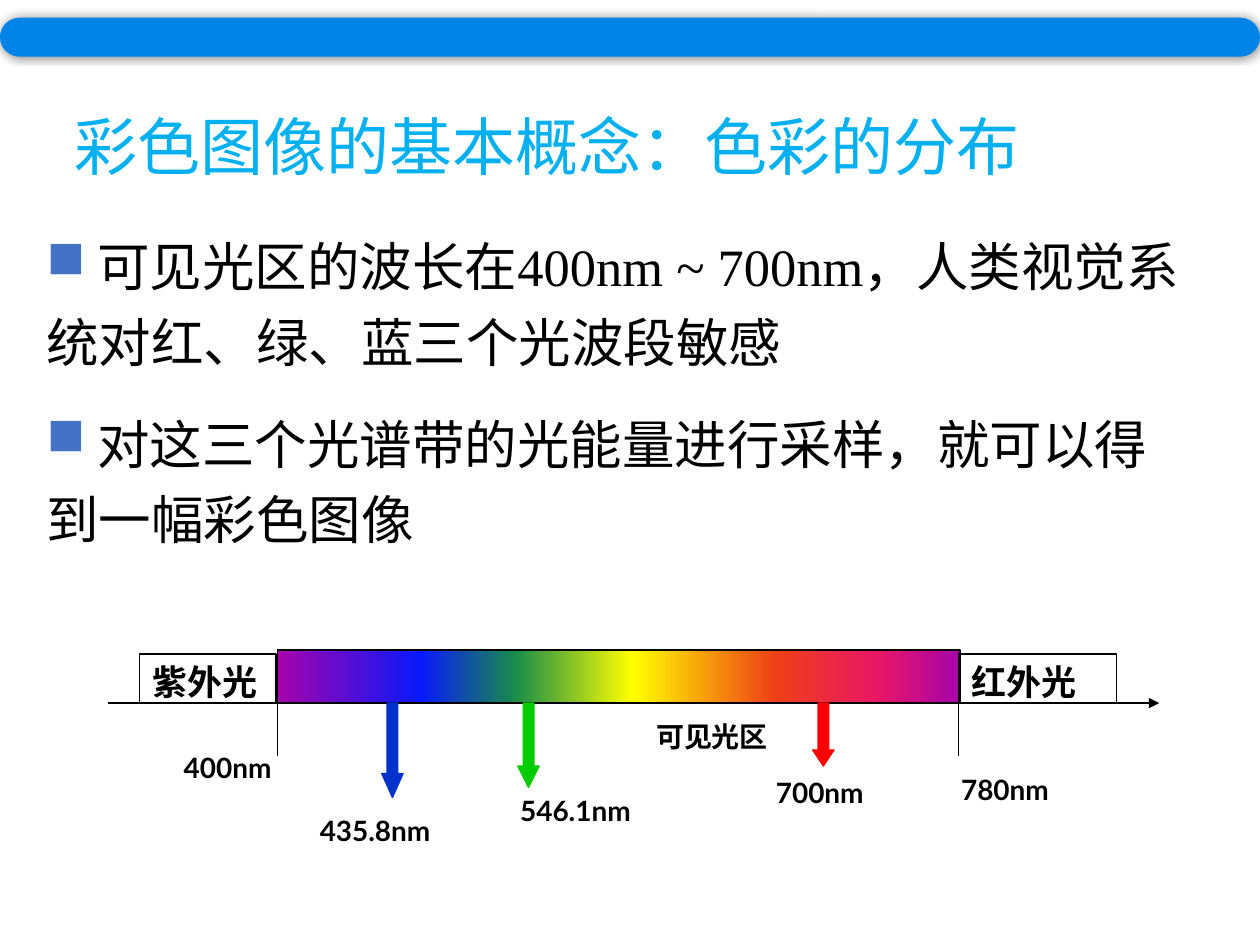
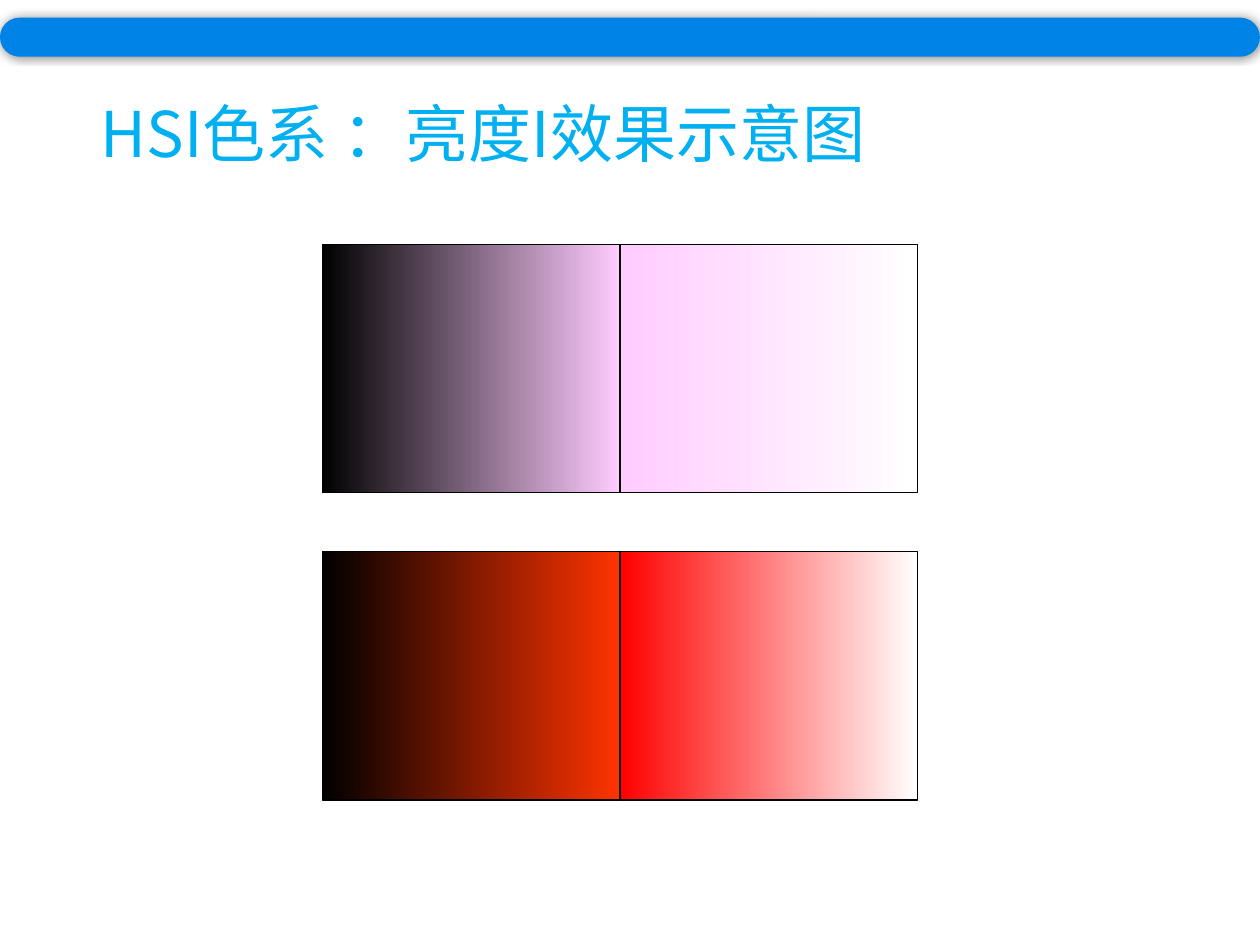
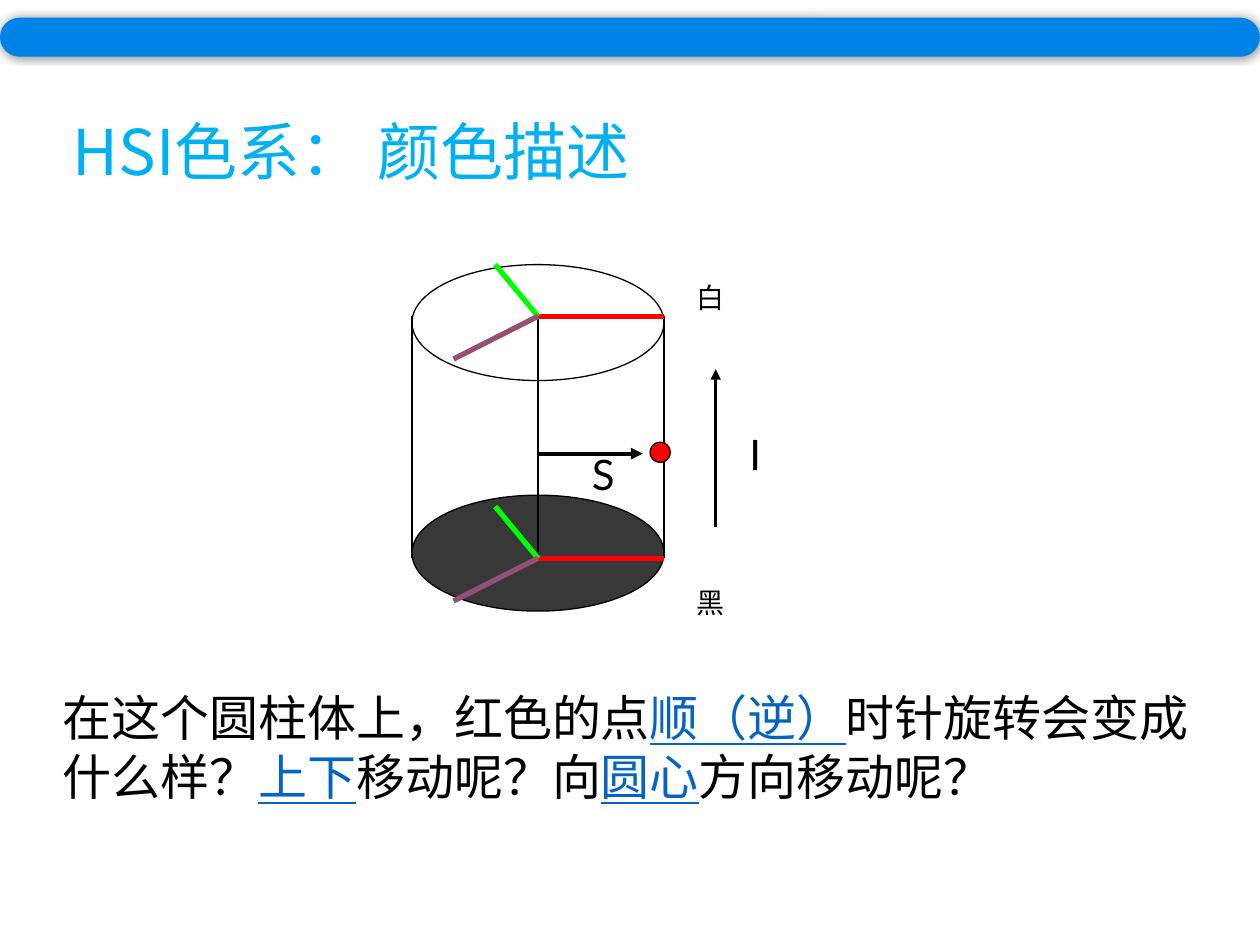
from typing import NamedTuple, Optional

from lxml.etree import SubElement
from pptx import Presentation
from pptx.dml.color import RGBColor
from pptx.enum.shapes import MSO_CONNECTOR, MSO_SHAPE
from pptx.enum.text import MSO_ANCHOR, MSO_AUTO_SIZE
from pptx.oxml.ns import qn
from pptx.util import Inches, Pt

HEX = {
    "ink": "000000", "white": "FFFFFF", "title": "00B0F0", "band": "0083E6",
    "bullet": "4472C4", "link": "0563C1", "red": "FF0000", "lime": "00FF00",
    "plum": "954F72", "green": "00CC00", "blue": "0033CC", "base": "383838",
    "pink": "FFCCFF", "flame": "FF3300", "violet": "A603AB", "indigo": "0819FB",
    "leaf": "1A8D48", "yellow": "FFFF00", "orange": "EE3F17", "rose": "E81766",
}
HAN, LATO, TIMES = "Noto Sans CJK SC", "Lato", "Times New Roman"


class Box(NamedTuple):
    left: float
    top: float
    width: float
    height: float


class Part(NamedTuple):
    text: str
    font: str = HAN
    color: str = "ink"
    under: bool = False


class Label(NamedTuple):
    text: str
    box: Box
    size: int = 16
    font: str = LATO
    bold: bool = True


class Arrow(NamedTuple):
    left: float
    height: float
    head: float
    color: str


def rgb(name: str) -> RGBColor:
    return RGBColor.from_string(HEX[name])


def add_run(para, part: Part, size: int, bold: bool = False) -> None:
    run = para.add_run()
    run.text = part.text
    font = run.font
    font.size, font.bold, font.name = Pt(size), bold, part.font
    font.color.rgb = rgb(part.color)
    if part.under:
        font.underline = True
    SubElement(font._element, qn("a:ea"), typeface=HAN)


def add_text(slide, box: Box, grow: bool = False):
    frame = slide.shapes.add_textbox(*map(Inches, box)).text_frame
    frame.word_wrap = True
    if grow:
        frame.auto_size = MSO_AUTO_SIZE.SHAPE_TO_FIT_TEXT
    return frame


def add_label(slide, label: Label) -> None:
    frame = add_text(slide, label.box, grow=True)
    add_run(frame.paragraphs[0], Part(label.text, label.font), label.size, label.bold)


def add_title(slide, text: str, box: Box) -> None:
    frame = add_text(slide, box)
    frame.vertical_anchor = MSO_ANCHOR.MIDDLE
    add_run(frame.paragraphs[0], Part(text, color="title"), 36)


def add_form(slide, kind, box: Box, fill: Optional[str] = None, line: Optional[str] = "ink"):
    form = slide.shapes.add_shape(kind, *map(Inches, box))
    form.shadow.inherit = False
    if fill:
        form.fill.solid()
        form.fill.fore_color.rgb = rgb(fill)
    else:
        form.fill.background()
    if line:
        form.line.color.rgb = rgb(line)
        form.line.width = Pt(0.75)
    else:
        form.line.fill.background()
    return form


def add_blend(slide, box: Box, stops: list[tuple[int, str]]) -> None:
    form = add_form(slide, MSO_SHAPE.RECTANGLE, box)
    form.fill.gradient()
    form.fill.gradient_angle = 0
    group = form._element.spPr.find(qn("a:gradFill")).find(qn("a:gsLst"))
    for old in list(group):
        group.remove(old)
    for place, name in stops:
        stop = SubElement(group, qn("a:gs"), pos=str(place * 1000))
        SubElement(stop, qn("a:srgbClr"), val=HEX[name])


def add_line(slide, x1: float, y1: float, x2: float, y2: float,
             color: str = "ink", width: float = 0.75, arrow: bool = False) -> None:
    line = slide.shapes.add_connector(MSO_CONNECTOR.STRAIGHT, *map(Inches, (x1, y1, x2, y2)))
    line.line.color.rgb = rgb(color)
    line.line.width = Pt(width)
    props = line._element.spPr
    if arrow:
        SubElement(props.find(qn("a:ln")), qn("a:tailEnd"), type="triangle")
    SubElement(props, qn("a:effectLst"))


def add_band(slide) -> None:
    band = add_form(slide, MSO_SHAPE.ROUNDED_RECTANGLE, Box(0, 0.14, 10, 0.31), "band", None)
    band.adjustments[0] = 0.5
    glow = SubElement(band._element.spPr.find(qn("a:effectLst")), qn("a:outerShdw"),
                      blurRad=str(Pt(5)), dist="0", dir="0", algn="ctr", rotWithShape="0")
    tint = SubElement(glow, qn("a:srgbClr"), val=HEX["ink"])
    SubElement(tint, qn("a:alpha"), val="40000")


def add_bullet(para) -> None:
    props = para._p.get_or_add_pPr()
    props.set("marL", "0")
    props.set("indent", "0")
    SubElement(SubElement(props, qn("a:buClr")), qn("a:srgbClr"), val=HEX["bullet"])
    SubElement(props, qn("a:buChar"), char="■")


def draw_range(slide) -> None:
    # Spectrum on its axis
    axis, low, high = 5.58, 2.2, 7.61
    add_blend(slide, Box(low, 5.16, 5.42, 0.42), [
        (0, "violet"), (21, "indigo"), (35, "leaf"), (52, "yellow"),
        (73, "orange"), (88, "rose"), (100, "violet")])
    add_line(slide, 0.86, axis, 9.2, axis, arrow=True)
    for x in (low, high):
        add_line(slide, x, axis, x, 6)

    # Zones beyond visible light
    for text, left, width in (("紫外光", 1.11, 1.08), ("红外光", high, 1.25)):
        zone = add_form(slide, MSO_SHAPE.RECTANGLE, Box(left, 5.19, width, 0.39))
        frame = zone.text_frame
        frame.vertical_anchor = MSO_ANCHOR.TOP
        para = frame.paragraphs[0]
        para.alignment = 1
        add_run(para, Part(text, LATO), 20, True)

    # Sampled wavelengths
    for mark in (Arrow(6.45, 0.5, 0.75, "red"), Arrow(4.11, 0.67, 1, "green"),
                 Arrow(3.03, 0.75, 1.125, "blue")):
        form = add_form(slide, MSO_SHAPE.DOWN_ARROW,
                        Box(mark.left, axis, 0.17, mark.height), mark.color, mark.color)
        form.adjustments[0], form.adjustments[1] = 0.5, mark.head
    for text, left, top, width in (
            ("400nm", 1.36, 5.91, 1.25), ("700nm", 6.06, 6.11, 1.07),
            ("可见光区", 5.11, 5.66, 1.83), ("546.1nm", 4.03, 6.25, 1.32),
            ("435.8nm", 2.44, 6.41, 1.34), ("780nm", 7.53, 6.08, 1.17)):
        add_label(slide, Label(text, Box(left, top, width, 0.37)))

    # Title and points
    add_title(slide, "彩色图像的基本概念：色彩的分布", Box(0.49, 0.41, 8.03, 1.49))
    frame = add_text(slide, Box(0.27, 1.71, 9.19, 4.42))
    points = (
        (Part(" 可见光区的波长在"), Part("400nm ~ 700nm", TIMES),
         Part("，人类视觉系统对红、绿、蓝三个光波段敏感")),
        (Part(" 对这三个光谱带的光能量进行采样，就可以得到一幅彩色图像"),),
    )
    for i, parts in enumerate(points):
        para = frame.add_paragraph() if i else frame.paragraphs[0]
        para.line_spacing = 1.2
        if i:
            para.space_before = Pt(15)
        add_bullet(para)
        for part in parts:
            add_run(para, part, 30)


def draw_light(slide) -> None:
    add_title(slide, "HSI色系 ：亮度I效果示意图", Box(0.7, 0.51, 8.19, 1.08))
    # Dark to hue, then hue to white
    rows = ((("ink", "pink"), ("pink", "white")), (("ink", "flame"), ("red", "white")))
    for i, row in enumerate(rows):
        for j, (first, last) in enumerate(row):
            add_blend(slide, Box(2.56 + 2.36 * j, 1.94 + 2.44 * i, 2.36, 1.97),
                      [(0, first), (100, last)])


def draw_solid(slide) -> None:
    add_title(slide, "HSI色系： 颜色描述", Box(0.48, 0.65, 7.04, 1.08))
    # Cylinder with hue spokes on both faces
    mid, roof, floor = 4.27, 2.51, 4.43
    for top, fill in ((2.1, "white"), (3.93, "base")):
        add_form(slide, MSO_SHAPE.OVAL, Box(mid - 1, top, 2, 0.92), fill)
    for x in (mid - 1, mid + 1, mid):
        add_line(slide, x, roof, x, floor)
    for y in (floor, roof):
        for dx, dy, color in ((1, 0, "red"), (-0.34, -0.41, "lime"), (-0.67, 0.34, "plum")):
            add_line(slide, mid, y, mid + dx, y + dy, color, 3)

    # Intensity and saturation
    add_line(slide, 5.68, 4.18, 5.68, 2.93, width=1.5, arrow=True)
    add_line(slide, mid, 3.6, 5.1, 3.6, width=2.25, arrow=True)
    for label in (Label("黑", Box(5.43, 4.6, 0.42, 0.37), 16, TIMES, False),
                  Label("白", Box(5.43, 2.18, 0.42, 0.37), 16, TIMES, False),
                  Label("I", Box(5.85, 3.35, 0.33, 0.5), 24, LATO, False),
                  Label("S", Box(4.6, 3.51, 0.5, 0.5), 24, LATO, False)):
        add_label(slide, label)
    add_form(slide, MSO_SHAPE.OVAL, Box(5.16, 3.51, 0.16, 0.16), "red")

    # Question
    para = add_text(slide, Box(0.4, 5.41, 9.3, 1.04), grow=True).paragraphs[0]
    words = ("在这个圆柱体上，红色的点", "顺（逆）", "时针旋转会变成什么样？", "上下",
             "移动呢？向", "圆心", "方向移动呢？")
    for i, text in enumerate(words):
        link = i % 2 == 1
        add_run(para, Part(text, HAN, "link" if link else "ink", link), 28)


def main() -> None:
    deck = Presentation()
    deck.slide_width, deck.slide_height = Inches(10), Inches(7.5)
    for draw in (draw_range, draw_light, draw_solid):
        slide = deck.slides.add_slide(deck.slide_layouts[6])
        draw(slide)
        add_band(slide)
    deck.save("out.pptx")


if __name__ == "__main__":
    main()
